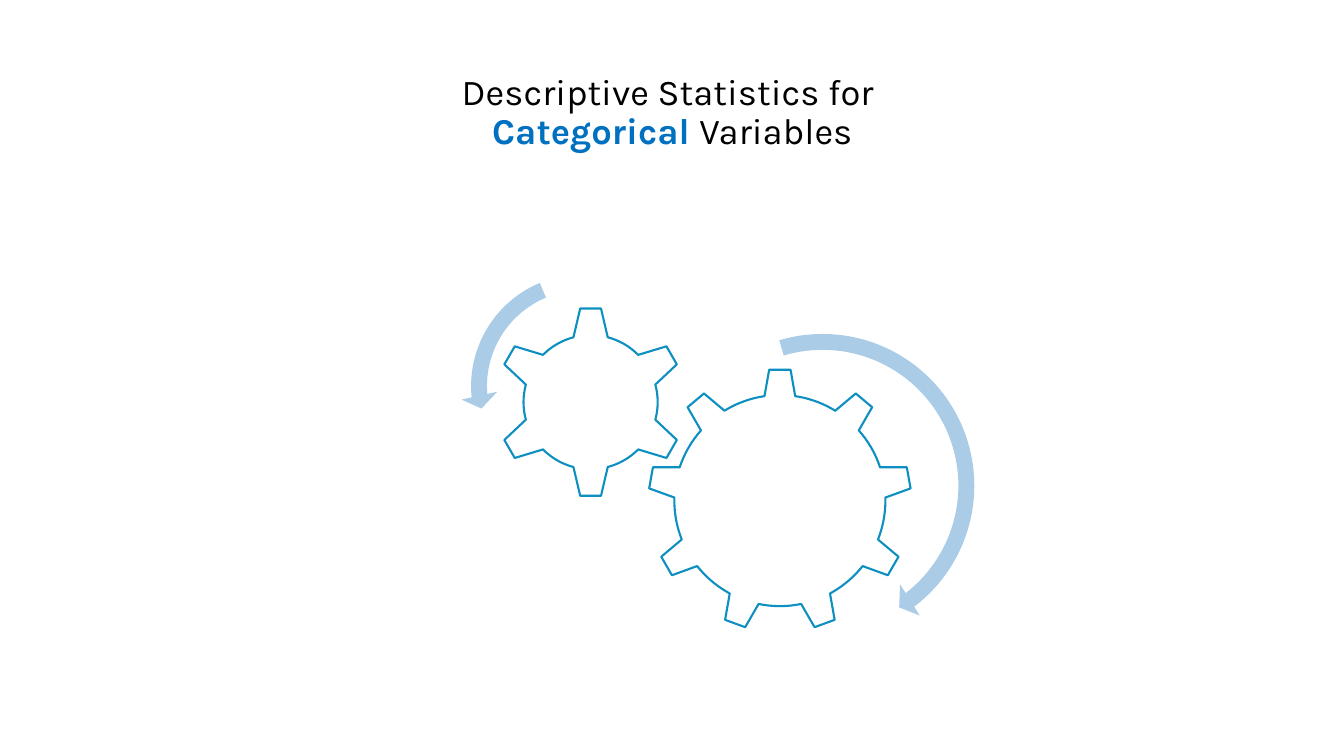
import dataclasses

import pptx
import pptx.dml.color
import pptx.enum.shapes
import pptx.enum.text
import pptx.util

Cm = pptx.util.Cm
Pt = pptx.util.Pt
Color = pptx.dml.color.RGBColor.from_string
Shape = pptx.enum.shapes.MSO_SHAPE


@dataclasses.dataclass(frozen=True)
class Theme:
    font: str = "Karla"
    title_size: float = 26
    outline_width: float = 1.5
    text: str = "000000"
    accent: str = "0070C0"
    gear_fill: str = "FFFFFF"
    gear_line: str = "0E8FC1"
    arrow: str = "ABCCE7"


THEME = Theme()


def place_title(page, left, top, width, height):
    title = page.shapes.title
    title.left, title.top = Cm(left), Cm(top)
    title.width, title.height = Cm(width), Cm(height)
    frame = title.text_frame
    frame.word_wrap = True
    frame.vertical_anchor = pptx.enum.text.MSO_ANCHOR.MIDDLE
    para = frame.paragraphs[0]
    para.text = "Descriptive Statistics for \v"
    para.add_run().text = "Categorical "
    para.add_run().text = "Variables"
    para.alignment = pptx.enum.text.PP_ALIGN.CENTER
    para.line_spacing = 0.9
    for span in para.runs:
        emphasized = span.text.startswith("Categorical")
        span.font.name = THEME.font
        span.font.size = Pt(THEME.title_size)
        span.font.bold = emphasized
        span.font.color.rgb = Color(THEME.accent if emphasized else THEME.text)


def add_square_shape(group, kind, left, top, side, fill):
    shape = group.shapes.add_shape(kind, Cm(left), Cm(top), Cm(side), Cm(side))
    shape.shadow.inherit = False
    shape.fill.solid()
    shape.fill.fore_color.rgb = Color(fill)
    return shape


def add_gear(group, kind, left, top, side):
    gear = add_square_shape(group, kind, left, top, side, THEME.gear_fill)
    gear.line.color.rgb = Color(THEME.gear_line)
    gear.line.width = Pt(THEME.outline_width)


def add_turn_arrow(group, kind, left, top, side, band, angles, head):
    """Band and head are percentages; angles are head, end and start in degrees."""
    arrow = add_square_shape(group, kind, left, top, side, THEME.arrow)
    arrow.line.fill.background()
    settings = [band / 100, *(angle * 0.6 for angle in angles), head / 100]
    for index, setting in enumerate(settings):
        arrow.adjustments[index] = setting


def place_gears(page, left, top):
    group = page.shapes.add_group_shape()
    add_gear(group, Shape.GEAR_9, left + 4.72, top + 2.64, 6.65)
    add_gear(group, Shape.GEAR_6, left + 0.86, top + 1.07, 4.83)
    add_turn_arrow(group, Shape.CIRCULAR_ARROW, left + 5.03, top + 1.5, 8.18,
                   4.9, (5.21, 52.58, 253.41), 5.7)
    add_turn_arrow(group, Shape.LEFT_CIRCULAR_ARROW, left, top, 6.17,
                   6.5, (7.17, 174.82, 247.3), 7.5)


def main():
    deck = pptx.Presentation()
    deck.slide_width, deck.slide_height = Cm(33.87), Cm(19.05)
    title_only = deck.slide_layouts[5]
    page = deck.slides.add_slide(title_only)
    place_title(page, 2.34, 1.02, 29.21, 3.68)
    place_gears(page, 11.61, 6.65)
    deck.save("out.pptx")


if __name__ == "__main__":
    main()
